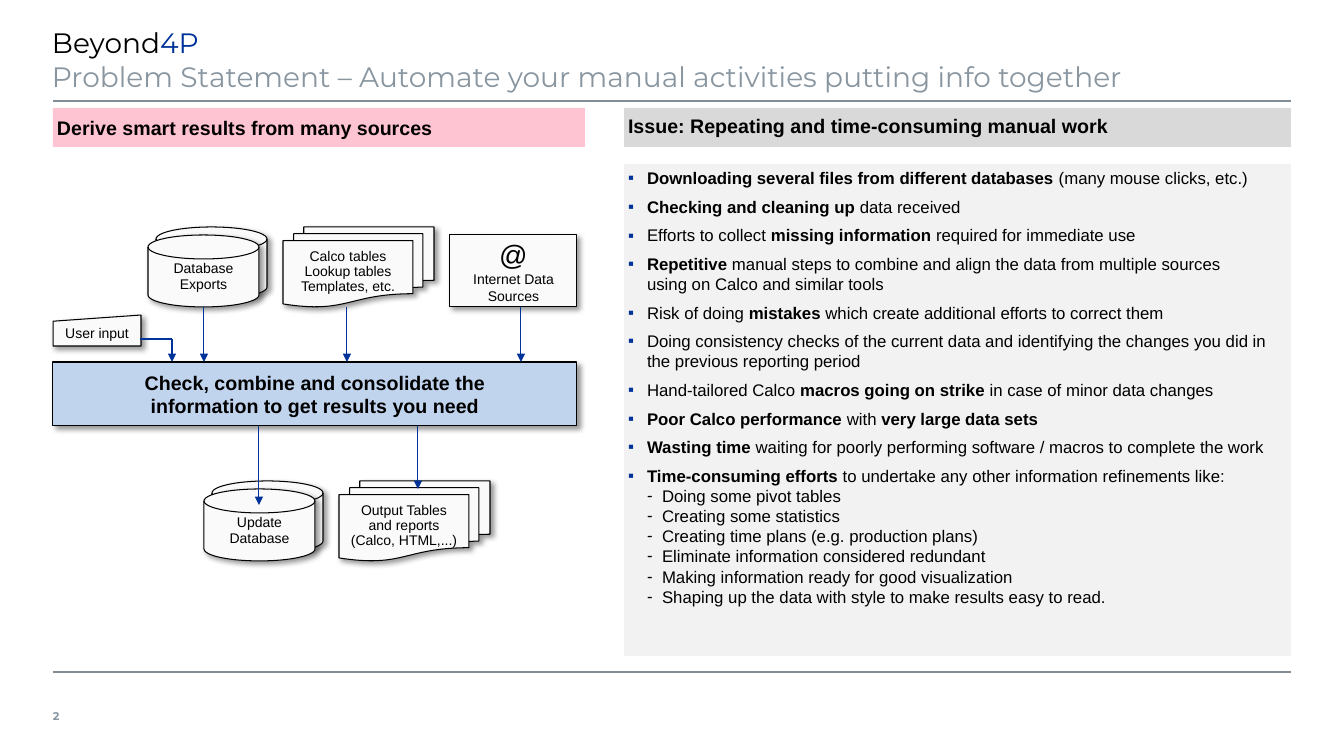
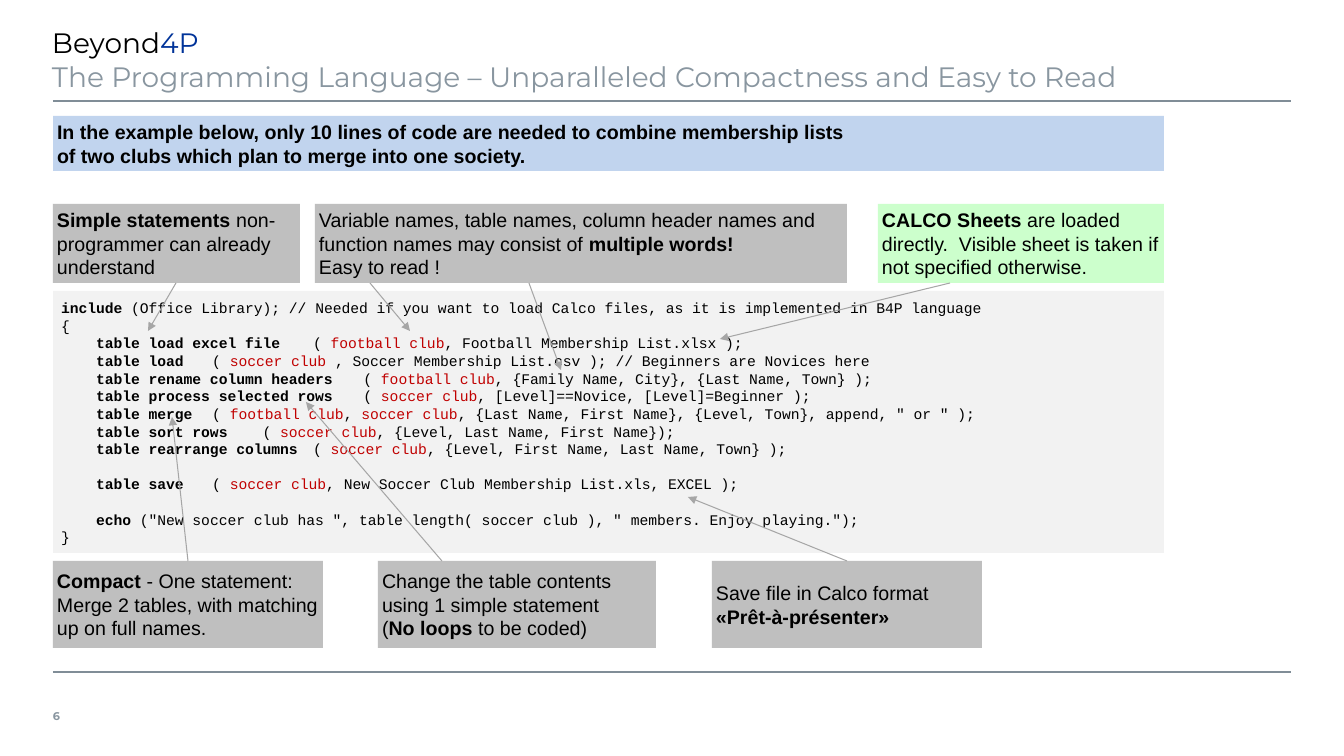
from lxml import etree
from pptx import Presentation
from pptx import util as u
from pptx.dml.color import RGBColor
from pptx.enum import shapes, text
from pptx.oxml.ns import qn

PX = 914400 / 100.8
BLACK = RGBColor(0x00, 0x00, 0x00)
BLUE = RGBColor(0x00, 0x33, 0x99)
RED = RGBColor(0xC0, 0x00, 0x00)
TITLE_GREY = RGBColor(0x89, 0x96, 0xA0)
RULE_GREY = RGBColor(0x80, 0x8D, 0x97)
ARROW_GREY = RGBColor(0xA6, 0xA6, 0xA6)
CALLOUT_GREY = RGBColor(0xBF, 0xBF, 0xBF)
HEADER_GREY = RGBColor(0xD9, 0xD9, 0xD9)
PANEL_GREY = RGBColor(0xF2, 0xF2, 0xF2)
NODE_WHITE = RGBColor(0xFA, 0xFA, 0xFA)
PINK = RGBColor(0xFF, 0xC4, 0xD2)
LIGHT_BLUE = RGBColor(0xC1, 0xD4, 0xEE)
GREEN = RGBColor(0xCC, 0xFF, 0xCC)

KIND = shapes.MSO_SHAPE
DISK = KIND.FLOWCHART_MAGNETIC_DISK
MULTI = KIND.FLOWCHART_MULTIDOCUMENT
LEFT, CENTER = text.PP_ALIGN.LEFT, text.PP_ALIGN.CENTER
TOP, MIDDLE = text.MSO_ANCHOR.TOP, text.MSO_ANCHOR.MIDDLE


def write(para, line, size, font="Arial"):
    for part_index, part in enumerate(line.split("*")):
        for piece_index, piece in enumerate(part.split("|")):
            for row_index, row in enumerate(piece.split("\n")):
                if row_index:
                    para.add_line_break()
                if row:
                    span = para.add_run()
                    span.text = row
                    span.font.name = font
                    span.font.size = u.Pt(size)
                    span.font.bold = part_index % 2 == 1
                    span.font.color.rgb = RED if piece_index % 2 else BLACK


def place(page, kind, area, fill, lines=(), size=14, align=LEFT, anchor=MIDDLE,
          inset=4, node=False, spacing=None, font="Arial"):
    box = page.shapes.add_shape(kind, *[round(value * PX) for value in area])
    box.shadow.inherit = False
    box.fill.solid()
    box.fill.fore_color.rgb = fill
    if node:
        box.line.color.rgb = BLACK
        box.line.width = u.Pt(0.75)
        effects = box.element.spPr.find(qn("a:effectLst"))
        shadow = etree.SubElement(effects, qn("a:outerShdw"), blurRad="50800",
                                  dist="38100", dir="2700000", algn="tl", rotWithShape="0")
        tint = etree.SubElement(shadow, qn("a:srgbClr"), val="000000")
        etree.SubElement(tint, qn("a:alpha"), val="40000")
    else:
        box.line.fill.background()
    frame = box.text_frame
    frame.word_wrap = True
    frame.vertical_anchor = anchor
    frame.margin_left = frame.margin_right = round(inset * PX)
    frame.margin_top = frame.margin_bottom = round(inset * PX)
    for index, line in enumerate(lines):
        para = frame.add_paragraph() if index else frame.paragraphs[0]
        para.alignment = align
        if spacing:
            para.line_spacing = spacing
        write(para, line, size, font)
    return box


deck = Presentation()
deck.slide_width = round(1344 * PX)
deck.slide_height = round(756 * PX)
links = []

pages = []
for number, heading in [
    ("2", "Problem Statement – Automate your manual activities putting info together"),
    ("6", "The Programming Language – Unparalleled Compactness and Easy to Read"),
]:
    page = deck.slides.add_slide(deck.slide_layouts[6])
    pages.append(page)
    for area, anchor, spans, size, bold in [
        ((52, 21, 1238, 80), TOP,
         [("Beyond", BLACK), ("4P", BLUE), ("\n", None), (heading, TITLE_GREY)], 20, False),
        ((53, 696, 47, 39), MIDDLE, [(number, TITLE_GREY)], 8, True),
    ]:
        frame = page.shapes.add_textbox(*[round(value * PX) for value in area]).text_frame
        frame.word_wrap = True
        frame.margin_left = 0
        frame.vertical_anchor = anchor
        para = frame.paragraphs[0]
        for words, color in spans:
            if color is None:
                para.add_line_break()
                continue
            span = para.add_run()
            span.text = words
            span.font.name = "Montserrat"
            span.font.size = u.Pt(size)
            span.font.bold = bold
            span.font.color.rgb = color
    for height in (101, 672):
        links.append((page, RULE_GREY, 1, False, (53, height, 1291, height)))

problem, language = pages

place(problem, KIND.RECTANGLE, (53, 108, 532, 39), PINK,
      ["*Derive smart results from many sources*"])
place(problem, KIND.RECTANGLE, (624, 108, 667, 39), HEADER_GREY,
      ["*Issue: Repeating and time-consuming manual work*"], spacing=0.9)

issues = [
    "*Downloading several files from different databases* (many mouse clicks, etc.)",
    "*Checking and cleaning up *data received",
    "Efforts to collect *missing information *required for immediate use",
    "*Repetitive *manual steps to combine and align the data from multiple sources\n"
    "using on Calco and similar tools",
    "Risk of doing *mistakes *which create additional efforts to correct them",
    "Doing consistency checks of the current data and identifying the changes you did in "
    "the previous reporting period",
    "Hand-tailored Calco *macros going on strike *in case of minor data changes",
    "*Poor Calco performance* with *very large data sets*",
    "*Wasting time* waiting for poorly performing software / macros to complete the work",
    "*Time-consuming efforts *to undertake any other information refinements like:",
]
refinements = [
    "Doing some pivot tables",
    "Creating some statistics",
    "Creating time plans (e.g. production plans)",
    "Eliminate information considered redundant",
    "Making information ready for good visualization",
    "Shaping up the data with style to make results easy to read.",
]
panel = place(problem, KIND.RECTANGLE, (624, 164, 667, 492), PANEL_GREY,
              issues + refinements, size=12, anchor=TOP)
for index, para in enumerate(panel.text_frame.paragraphs):
    is_issue = index < len(issues)
    para.space_before = u.Pt(3 if is_issue else 0)
    para.space_after = u.Pt(3 if index < len(issues) - 1 else 0)
    mark, margin, hang, color = ("▪", 19, 19, BLUE) if is_issue else ("-", 34, 15, BLACK)
    props = para._p.get_or_add_pPr()
    props.set("marL", str(round(margin * PX)))
    props.set("indent", str(round(-hang * PX)))
    tint = etree.SubElement(props, qn("a:buClr"))
    etree.SubElement(tint, qn("a:srgbClr"), val=str(color))
    etree.SubElement(props, qn("a:buFont"), typeface="Arial")
    etree.SubElement(props, qn("a:buChar"), char=mark)

for left, top, disk_lines, document_lines in [
    (148, 227, ["Database", "Exports"],
     ["Calco tables", "Lookup tables", "Templates, etc."]),
    (204, 481, ["Update", "Database"],
     ["Output Tables", "and reports", "(Calco, HTML,...)"]),
]:
    place(problem, DISK, (left + 8, top, 111, 72), NODE_WHITE, node=True)
    place(problem, DISK, (left, top + 8, 111, 72), NODE_WHITE, disk_lines,
          size=10, align=CENTER, node=True, spacing=0.9)
    place(problem, MULTI, (left + 135, top, 151, 80), NODE_WHITE, document_lines,
          size=10, align=CENTER, node=True, spacing=0.9)

internet = place(problem, KIND.RECTANGLE, (450, 235, 127, 72), NODE_WHITE,
                 ["@", "Internet Data Sources"], size=10, align=CENTER, node=True)
internet.text_frame.paragraphs[0].runs[0].font.size = u.Pt(20)
place(problem, KIND.FLOWCHART_MANUAL_INPUT, (53, 315, 88, 31), NODE_WHITE,
      ["User input"], size=10, align=CENTER, node=True, spacing=0.9)
place(problem, KIND.RECTANGLE, (53, 362, 524, 64), LIGHT_BLUE,
      ["*Check, combine and consolidate the*", "*information to get results you need*"],
      align=CENTER, node=True)

for x, start, end in [(204, 307, 362), (347, 307, 362), (521, 307, 362),
                      (172, 339, 362), (259, 426, 505), (418, 426, 489)]:
    links.append((problem, BLUE, 0.75, True, (x, start, x, end)))
links.append((problem, BLUE, 0.75, False, (140, 339, 172, 339)))

place(language, KIND.RECTANGLE, (53, 116, 1111, 55), LIGHT_BLUE,
      ["*In the example below, only 10 lines of code are needed to combine membership lists*",
       "*of two clubs which plan to merge into one society.*"])

INDENT, ARGUMENTS, BLANK_LINE = 35, 302, 12.6
code = [
    "*include* (Office Library); // Needed if you want to load Calco files, "
    "as it is implemented in B4P language",
    "{",
    "*table load excel file*\t( |football club|, Football Membership List.xlsx );",
    "*table load*\t( |soccer club |, Soccer Membership List.csv ); // Beginners are Novices here",
    "*table rename column headers*\t( |football club|, {Family Name, City}, {Last Name, Town} );",
    "*table process selected rows*\t( |soccer club|, [Level]==Novice, [Level]=Beginner );",
    "*table merge*\t( |football club|, |soccer club|, {Last Name, First Name}, "
    "{Level, Town}, append, \" or \" );",
    "*table sort rows*\t( |soccer club|, {Level, Last Name, First Name});",
    "*table rearrange columns*\t( |soccer club|, {Level, First Name, Last Name, Town} );",
    "*table save*\t( |soccer club|, New Soccer Club Membership List.xls, EXCEL );",
    "*echo* (\"New soccer club has \", table length( soccer club ), "
    "\" members. Enjoy playing.\");",
    "}",
]
listing = place(language, KIND.RECTANGLE, (53, 291, 1111, 262), PANEL_GREY, code,
                size=10.5, anchor=TOP, inset=8, font="Courier New")
for line, para in zip(code, listing.text_frame.paragraphs):
    if line.startswith(("*table save", "*echo")):
        para.space_before = u.Pt(BLANK_LINE)
    if line.startswith(("*table", "*echo")):
        props = para._p.get_or_add_pPr()
        props.set("marL", "0")
        props.set("indent", str(round(INDENT * PX)))
        stops = etree.SubElement(props, qn("a:tabLst"))
        etree.SubElement(stops, qn("a:tab"), pos=str(round(ARGUMENTS * PX)), algn="l")

UPPER, LOWER = (204, 79), (561, 87)
for left, width, (top, height), fill, lines, arrows in [
    (53, 247, UPPER, CALLOUT_GREY,
     ["*Simple statements *non-", "programmer can already", "understand"],
     [(176, 148, 331)]),
    (315, 532, UPPER, CALLOUT_GREY,
     ["Variable names, table names, column header names and function names "
      "may consist of *multiple words!*", "Easy to read !"],
     [(370, 410, 331), (529, 561, 370)]),
    (878, 286, UPPER, GREEN,
     ["*CALCO Sheets *are loaded directly.  Visible sheet is taken if "
      "not specified otherwise."],
     [(950, 720, 339)]),
    (53, 270, LOWER, CALLOUT_GREY,
     ["*Compact *- One statement:", "Merge 2 tables, with matching", "up on full names."],
     [(188, 172, 417)]),
    (378, 278, LOWER, CALLOUT_GREY,
     ["Change the table contents using 1 simple statement", "(*No loops* to be coded)"],
     [(442, 306, 402)]),
    (712, 270, LOWER, CALLOUT_GREY,
     ["Save file in Calco format", "*«Prêt-à-présenter»*"],
     [(847, 688, 497)]),
]:
    place(language, KIND.RECTANGLE, (left, top, width, height), fill, lines)
    edge = top + height if top == UPPER[0] else top
    for start, end, target in arrows:
        links.append((language, ARROW_GREY, 0.75, True, (start, edge, end, target)))

for page, color, weight, arrow, ends in links:
    link = page.shapes.add_connector(shapes.MSO_CONNECTOR.STRAIGHT,
                                     *[round(value * PX) for value in ends])
    link.line.color.rgb = color
    link.line.width = u.Pt(weight)
    if arrow:
        etree.SubElement(link.line._get_or_add_ln(), qn("a:tailEnd"), type="triangle")
    etree.SubElement(link.element.spPr, qn("a:effectLst"))

deck.save("out.pptx")
